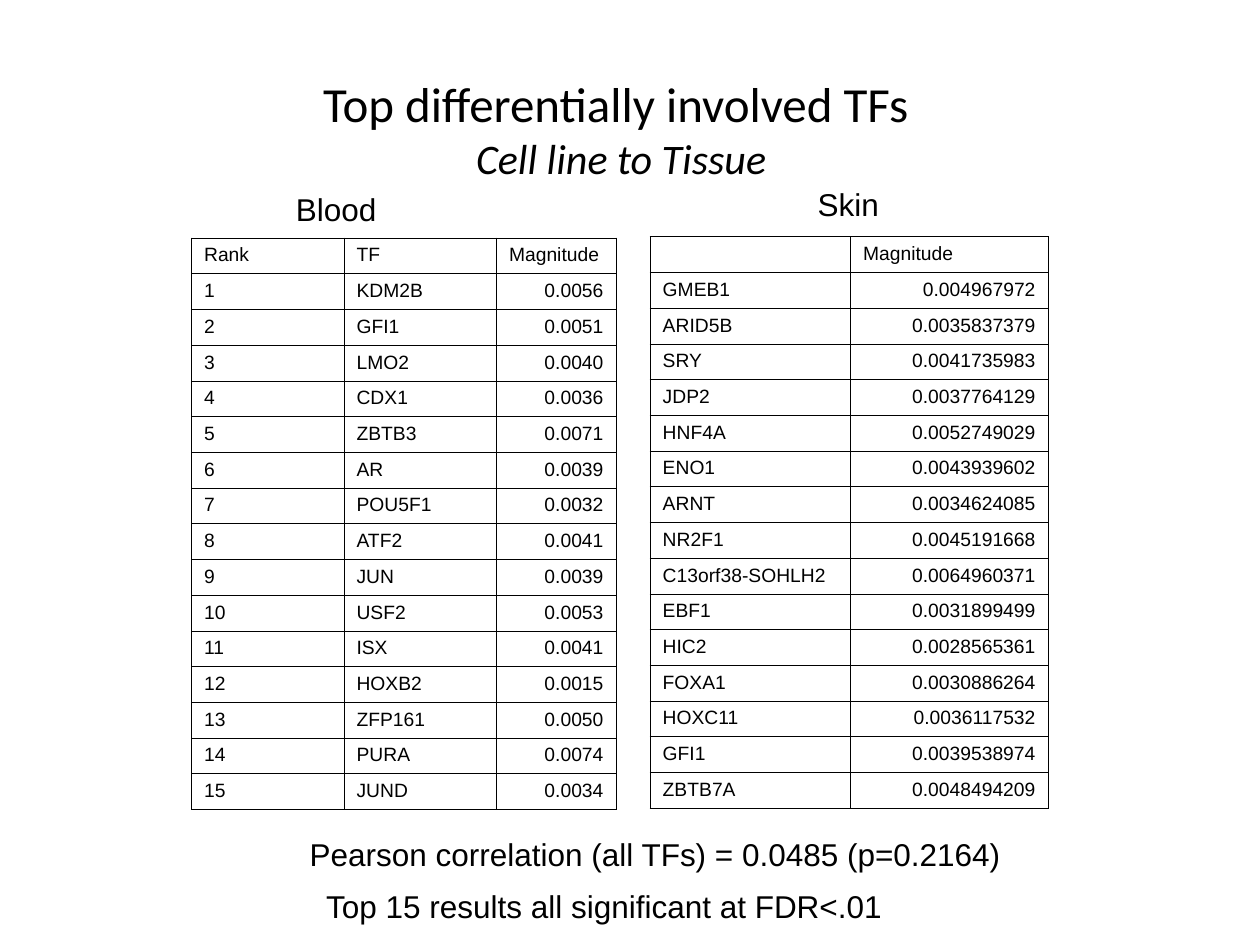
"""Build a slide comparing the top transcription factors for blood and skin."""
import copy

import lxml.etree
import pptx
import pptx.dml.color
import pptx.enum.text
import pptx.oxml.ns
import pptx.util

Inches = pptx.util.Inches
Align = pptx.enum.text.PP_ALIGN
qn = pptx.oxml.ns.qn


def style_font(font, name, size, color="000000"):
    font.name = name
    font.size = pptx.util.Pt(size)
    font.color.rgb = pptx.dml.color.RGBColor.from_string(color)


def outline_cell(cell, color="000000", points=0.57):
    properties = cell._tc.get_or_add_tcPr()
    for side in ("a:lnL", "a:lnR", "a:lnT", "a:lnB"):
        width = str(int(pptx.util.Pt(points)))
        line = lxml.etree.SubElement(properties, qn(side), w=width)
        fill = lxml.etree.SubElement(line, qn("a:solidFill"))
        lxml.etree.SubElement(fill, qn("a:srgbClr"), val=color)
    cell.fill.background()


deck = pptx.Presentation()
deck.slide_width, deck.slide_height = Inches(10), Inches(7.5)
page = deck.slides.add_slide(deck.slide_layouts[5])

title = page.shapes.title
title.left, title.top = Inches(0.68), Inches(0.21)
title.width, title.height = Inches(8.5), Inches(1.61)
frame = title.text_frame
frame.margin_left = frame.margin_right = frame.margin_top = frame.margin_bottom = 0
frame.vertical_anchor = pptx.enum.text.MSO_ANCHOR.MIDDLE
frame.auto_size = pptx.enum.text.MSO_AUTO_SIZE.NONE
para = frame.paragraphs[0]
para.alignment = Align.CENTER
heading = para.add_run()
heading.text = "Top differentially involved TFs "
style_font(heading.font, "Calibri", 28)
para.add_line_break()
para._p.find(qn("a:br")).append(copy.deepcopy(heading._r.rPr))
subheading = para.add_run()
subheading.text = "Cell line to Tissue"
style_font(subheading.font, "Calibri", 24)
subheading.font.italic = True

blood = [
    ("KDM2B", "0.0056"), ("GFI1", "0.0051"), ("LMO2", "0.0040"),
    ("CDX1", "0.0036"), ("ZBTB3", "0.0071"), ("AR", "0.0039"),
    ("POU5F1", "0.0032"), ("ATF2", "0.0041"), ("JUN", "0.0039"),
    ("USF2", "0.0053"), ("ISX", "0.0041"), ("HOXB2", "0.0015"),
    ("ZFP161", "0.0050"), ("PURA", "0.0074"), ("JUND", "0.0034"),
]
skin = [
    ("GMEB1", "0.004967972"), ("ARID5B", "0.0035837379"), ("SRY", "0.0041735983"),
    ("JDP2", "0.0037764129"), ("HNF4A", "0.0052749029"), ("ENO1", "0.0043939602"),
    ("ARNT", "0.0034624085"), ("NR2F1", "0.0045191668"),
    ("C13orf38-SOHLH2", "0.0064960371"), ("EBF1", "0.0031899499"),
    ("HIC2", "0.0028565361"), ("FOXA1", "0.0030886264"), ("HOXC11", "0.0036117532"),
    ("GFI1", "0.0039538974"), ("ZBTB7A", "0.0048494209"),
]
blood_rows = [("Rank", "TF", "Magnitude")]
blood_rows += [(str(rank), *entry) for rank, entry in enumerate(blood, 1)]
skin_rows = [("", "Magnitude")] + skin

tables = [
    (1.52, 1.89, (1.21, 1.21, 0.95), blood_rows),
    (5.16, 1.88, (1.59, 1.57), skin_rows),
]
for left, top, widths, rows in tables:
    table = page.shapes.add_table(
        len(rows), len(widths), Inches(left), Inches(top),
        Inches(sum(widths)), Inches(4.54)).table
    table.first_row = table.horz_banding = False
    for column, width in zip(table.columns, widths):
        column.width = Inches(width)
    for row_index, row in enumerate(rows):
        for column_index, text in enumerate(row):
            cell = table.cell(row_index, column_index)
            outline_cell(cell)
            para = cell.text_frame.paragraphs[0]
            if text:
                para.text = text
            else:
                lxml.etree.SubElement(para._p, qn("a:endParaRPr"), sz="1100")
            style_font(para.font, "Arial", 11)
            if row_index and column_index == len(row) - 1:
                para.alignment = Align.RIGHT

labels = [
    (2.25, 1.46, 0.9, "Blood"),
    (6.39, 1.42, 0.75, "Skin"),
    (2.36, 6.58, 5.8, "Pearson correlation (all TFs) = 0.0485 (p=0.2164)"),
    (2.49, 6.99, 4.7, "Top 15 results all significant at FDR<.01"),
]
for left, top, width, text in labels:
    box = page.shapes.add_textbox(Inches(left), Inches(top), Inches(width), Inches(0.38))
    box.text_frame.word_wrap = True
    para = box.text_frame.paragraphs[0]
    para.text = text
    style_font(para.font, "Arial", 18)

deck.save("out.pptx")
